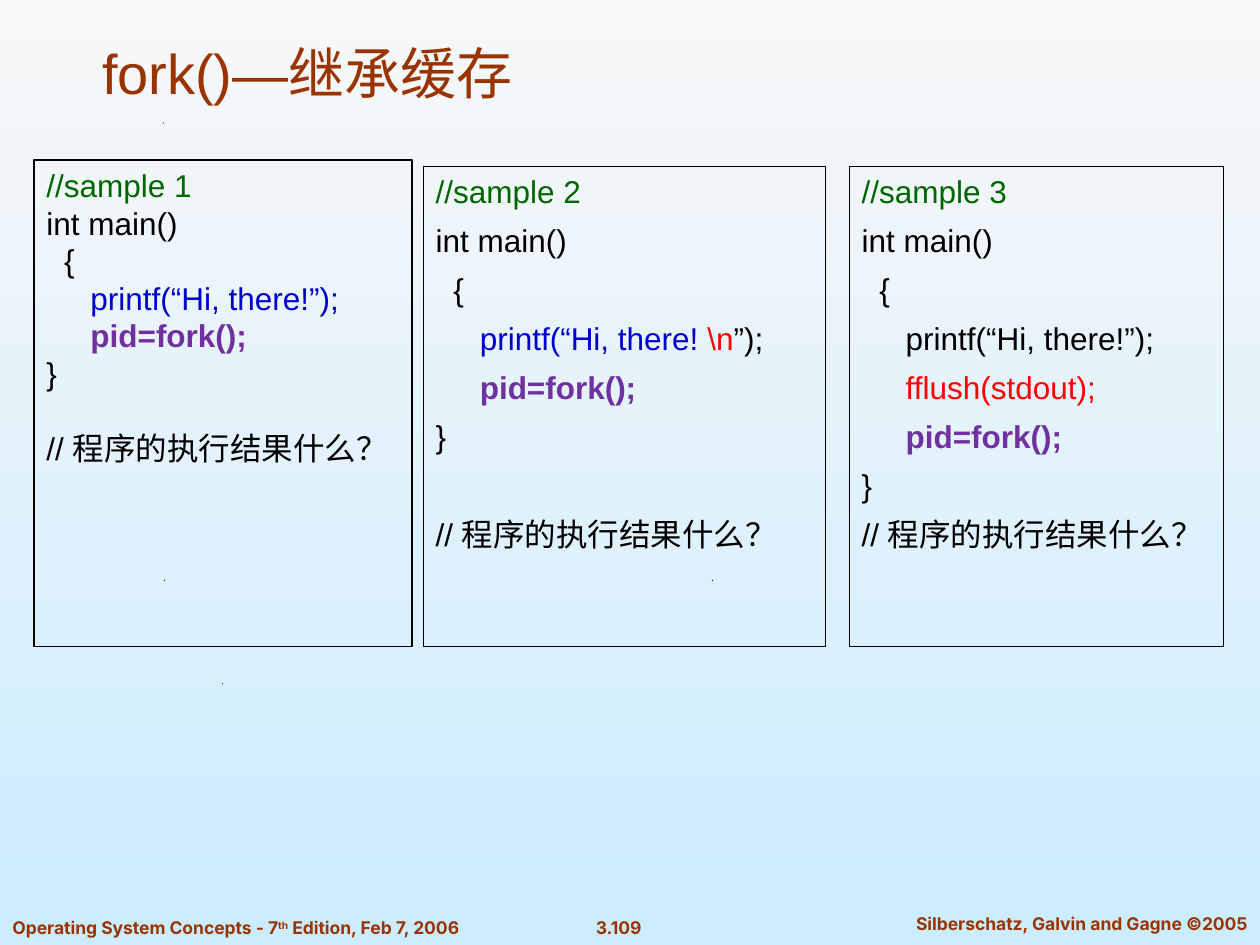
from pptx import Presentation
from pptx.dml.color import RGBColor as RGB
from pptx.enum.shapes import MSO_SHAPE as SHAPE
from pptx.enum.text import MSO_ANCHOR as ANCHOR, PP_ALIGN as ALIGN
from pptx.util import Inches, Pt


class Theme:
    black = "000000"
    rust = "993300"
    green = "006600"
    blue = "0000CC"
    red = "FF0000"
    plum = "7030A0"
    sky = ("F8F8F8", "CCECFF")
    face, foot = "Arial", "Inter"
    head, body, small = 32, 18, 10
    line, gap = 21.5, 6.5
    step = 0.07


T = Theme
TITLE = "fork()—继承缓存"
NAME = (0, [("int main()", T.black)])
OPEN = (2, [("{", T.black)])
FORK = (5, [("pid=fork();", T.plum)])
CLOSE = (0, [("}", T.black)])
ASK = (0, [("// 程序的执行结果什么？", T.black)])

PANELS = [
    dict(box=(0.27, 1.27, 3, 3.86), gap=0, skip=True,
         code=[(5, [("printf(“Hi, there!”);", T.blue)])]),
    dict(box=(3.36, 1.32, 3.19, 3.81), gap=T.gap, skip=True,
         code=[(5, [("printf(“Hi, there! ", T.blue), ("\\n", T.red), ("”);", T.black)])]),
    dict(box=(6.74, 1.32, 2.97, 3.81), gap=T.gap, skip=False,
         code=[(5, [("printf(“Hi, there!”);", T.black)]),
               (5, [("fflush(stdout);", T.red)])]),
]
FOOTERS = [
    ((0, 7.23, 4.09, 0.27), ALIGN.LEFT,
     [("Operating System Concepts - 7", 0), ("th", 30), (" Edition, Feb 7, 2006", 0)]),
    ((4.59, 7.23, 0.64, 0.27), ALIGN.CENTER, [("3.109", 0)]),
    ((7.1, 7.2, 2.97, 0.27), ALIGN.CENTER, [("Silberschatz, Galvin and Gagne ©2005", 0)]),
]
SPECKS = [(1.76, 5.42), (1.3, 4.6), (5.65, 4.6), (1.29, 0.97)]


def place(box):
    return [Inches(n) for n in box]


def style(font, face, size, color, bold=False):
    font.name, font.size, font.bold = face, Pt(size), bold
    font.color.rgb = RGB.from_string(color)


def add_panel(slide, num, box, gap, skip, code):
    panel = slide.shapes.add_shape(SHAPE.RECTANGLE, *place(box))
    panel.shadow.inherit = False
    panel.fill.background()
    panel.line.color.rgb = RGB.from_string(T.black)
    panel.line.width = Pt(0.75)
    frame = panel.text_frame
    frame.word_wrap = True
    frame.vertical_anchor = ANCHOR.TOP
    first = (0, [(f"//sample {num}", T.green)])
    for i, (inset, parts) in enumerate([first, NAME, OPEN, *code, FORK, CLOSE, ASK]):
        para = frame.paragraphs[0] if i == 0 else frame.add_paragraph()
        para.alignment = ALIGN.LEFT
        para.line_spacing = Pt(T.line)
        blank = T.line + gap if skip and parts is ASK[1] else 0
        para.space_before = Pt(gap + blank if i else 0)
        para._p.get_or_add_pPr().set("marL", str(Inches(inset * T.step)))
        for text, color in parts:
            run = para.add_run()
            run.text = text
            style(run.font, T.face, T.body, color, color == T.plum)


def add_footer(slide, box, align, parts):
    frame = slide.shapes.add_textbox(*place(box)).text_frame
    frame.word_wrap = True
    para = frame.paragraphs[0]
    para.alignment = align
    style(para.font, T.foot, T.small, T.rust, True)
    for text, lift in parts:
        run = para.add_run()
        run.text = text
        style(run.font, T.foot, T.small, T.rust, True)
        if lift:
            run.font._element.set("baseline", str(lift * 1000))


def add_speck(slide, x, y):
    pen = slide.shapes.build_freeform(Inches(x), Inches(y + 0.01))
    pen.add_line_segments([place((x + 0.01, y)), place((x + 0.01, y + 0.01))])
    speck = pen.convert_to_shape()
    speck.shadow.inherit = False
    speck.fill.solid()
    speck.fill.fore_color.rgb = RGB.from_string(T.black)
    speck.line.fill.background()


deck = Presentation()
deck.slide_width, deck.slide_height = Inches(10), Inches(7.5)
slide = deck.slides.add_slide(deck.slide_layouts[5])

back = slide.background.fill
back.gradient()
back.gradient_angle = 270
for i, (stop, color) in enumerate(zip(back.gradient_stops, T.sky)):
    stop.position = i
    stop.color.rgb = RGB.from_string(color)

title = slide.shapes.title
title.left, title.top, title.width, title.height = place((0.71, 0.2, 8.5, 0.69))
title.text_frame.text = TITLE
title.text_frame.vertical_anchor = ANCHOR.BOTTOM
title.text_frame.paragraphs[0].alignment = ALIGN.LEFT
style(title.text_frame.paragraphs[0].font, T.face, T.head, T.rust)

for spot in SPECKS:
    add_speck(slide, *spot)
for footer in FOOTERS:
    add_footer(slide, *footer)
for num, panel in enumerate(PANELS, 1):
    add_panel(slide, num, **panel)

deck.save("out.pptx")
